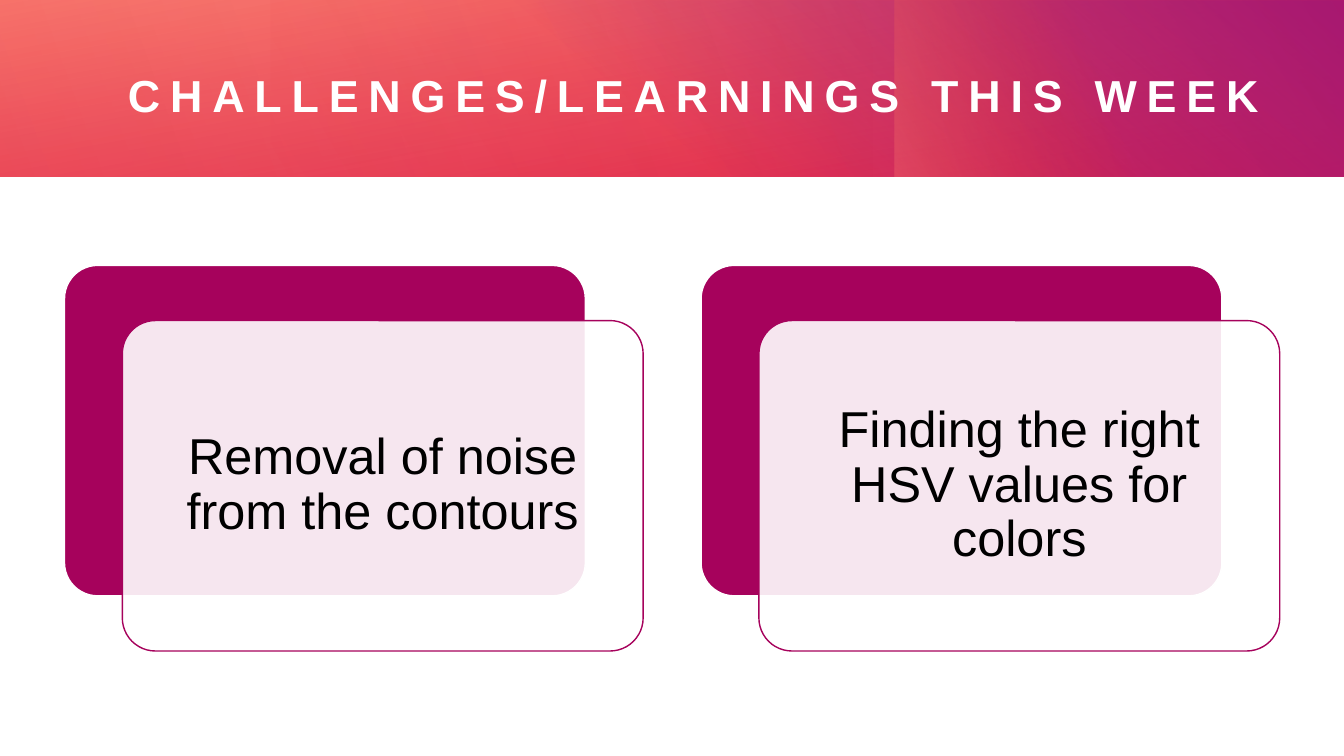
from pptx import Presentation
from pptx.dml.color import RGBColor
from pptx.enum.shapes import MSO_SHAPE as SHAPE
from pptx.enum.text import MSO_ANCHOR, MSO_AUTO_SIZE, PP_ALIGN
from pptx.oxml import parse_xml
from pptx.oxml.ns import nsdecls, qn
from pptx.util import Pt
from lxml import etree

COLORS = {"white": "FFFFFF", "black": "000000", "berry": "A6025C",
          "red": "DA002F", "salmon": "FF907A", "orange": "FE4A00",
          "purple": "92248E"}


def rgb(name):
    return RGBColor.from_string(COLORS[name])


def set_gradient(sp, stops, angle):
    """Fill with (position %, colour, opacity %) stops, angle clockwise."""
    gs = "".join(
        f'<a:gs pos="{pos * 1000}"><a:srgbClr val="{COLORS[color]}">'
        f'<a:alpha val="{alpha * 1000}"/></a:srgbClr></a:gs>'
        for pos, color, alpha in stops)
    grad = parse_xml(
        f'<a:gradFill {nsdecls("a")} rotWithShape="1"><a:gsLst>{gs}</a:gsLst>'
        f'<a:lin ang="{angle * 60000}" scaled="0"/></a:gradFill>')
    sp.fill.background()
    spPr = sp.element.spPr
    spPr.replace(spPr.find(qn("a:noFill")), grad)


prs = Presentation()
prs.slide_width, prs.slide_height = Pt(960), Pt(540)
s = prs.slides.add_slide(prs.slide_layouts[5])

# Header band: layered gradients (left, top, width, height, rotation, stops, angle)
BAND_H = 126
layers = [
    (0, 0, 960, BAND_H, 0, [(0, "red", 83), (100, "salmon", 100)], 260),
    (346.5, 0.5, 613.5, 125.5, 0, [(22, "purple", 0), (99, "purple", 100)], 310),
    (710.5, -71.5, BAND_H, 269, 270, [(45, "orange", 0), (99, "salmon", 33)], 250),
    (193.5, 0, 766.5, BAND_H, 180, [(0, "red", 30), (99, "red", 0)], 330),
    (0, 0, 623, BAND_H, 0, [(0, "red", 21), (99, "red", 0)], 340),
]
for left, top, width, height, rotation, stops, angle in layers:
    sp = s.shapes.add_shape(SHAPE.RECTANGLE, Pt(left), Pt(top), Pt(width), Pt(height))
    sp.shadow.inherit = False
    sp.rotation = rotation
    sp.line.fill.background()
    set_gradient(sp, stops, angle)

# Title, brought in front of the band
title = s.shapes.title
title.element.getparent().append(title.element)
title.left, title.top, title.width, title.height = Pt(91.4), Pt(29.5), Pt(820), Pt(76.3)
tf = title.text_frame
tf.text = "CHALLENGES/LEARNINGS THIS WEEK"
frame_format = {"margin_left": 0, "margin_right": 0, "margin_top": 0,
                "margin_bottom": 0, "vertical_anchor": MSO_ANCHOR.MIDDLE,
                "auto_size": MSO_AUTO_SIZE.NONE, "word_wrap": True}
for name, value in frame_format.items():
    setattr(tf, name, value)
p = tf.paragraphs[0]
p.alignment = PP_ALIGN.LEFT
r = p.runs[0]
for name, value in {"name": "Arial", "size": Pt(32), "bold": True}.items():
    setattr(r.font, name, value)
r.font.color.rgb = rgb("white")
r.font._element.set("spc", "700")

# Cards: a solid back and a translucent front shifted down and right
CARD_LEFT, CARD_TOP, CARD_W, CARD_H = 46.1, 189.6, 372, 236
CARD_STEP, SHIFT_X, SHIFT_Y = 454.7, 41.3, 39.4
INSET = Pt(10.8)
challenges = ["Removal of noise from the contours",
              "Finding the right HSV values for colors"]
for i, text in enumerate(challenges):
    left = CARD_LEFT + i * CARD_STEP
    for dx, dy, fill, line in [(0, 0, "berry", "white"),
                               (SHIFT_X, SHIFT_Y, "white", "berry")]:
        sp = s.shapes.add_shape(SHAPE.ROUNDED_RECTANGLE, Pt(left + dx),
                                Pt(CARD_TOP + dy), Pt(CARD_W), Pt(CARD_H))
        sp.shadow.inherit = False
        sp.adjustments[0] = 0.1
        sp.fill.solid()
        sp.fill.fore_color.rgb = rgb(fill)
        sp.line.color.rgb = rgb(line)
        sp.line.width = Pt(1)

    front_color = sp.element.spPr.find(qn("a:solidFill")).find(qn("a:srgbClr"))
    etree.SubElement(front_color, qn("a:alpha")).set("val", "90000")
    tf = sp.text_frame
    for side in ("left", "right", "top", "bottom"):
        setattr(tf, f"margin_{side}", INSET)
    tf.word_wrap = True
    tf.vertical_anchor = MSO_ANCHOR.MIDDLE
    p = tf.paragraphs[0]
    p.alignment = PP_ALIGN.CENTER
    p.line_spacing = 0.9
    r = p.add_run()
    r.text = text
    r.font.name, r.font.size = "Arial", Pt(36)
    r.font.color.rgb = rgb("black")

prs.save("out.pptx")
